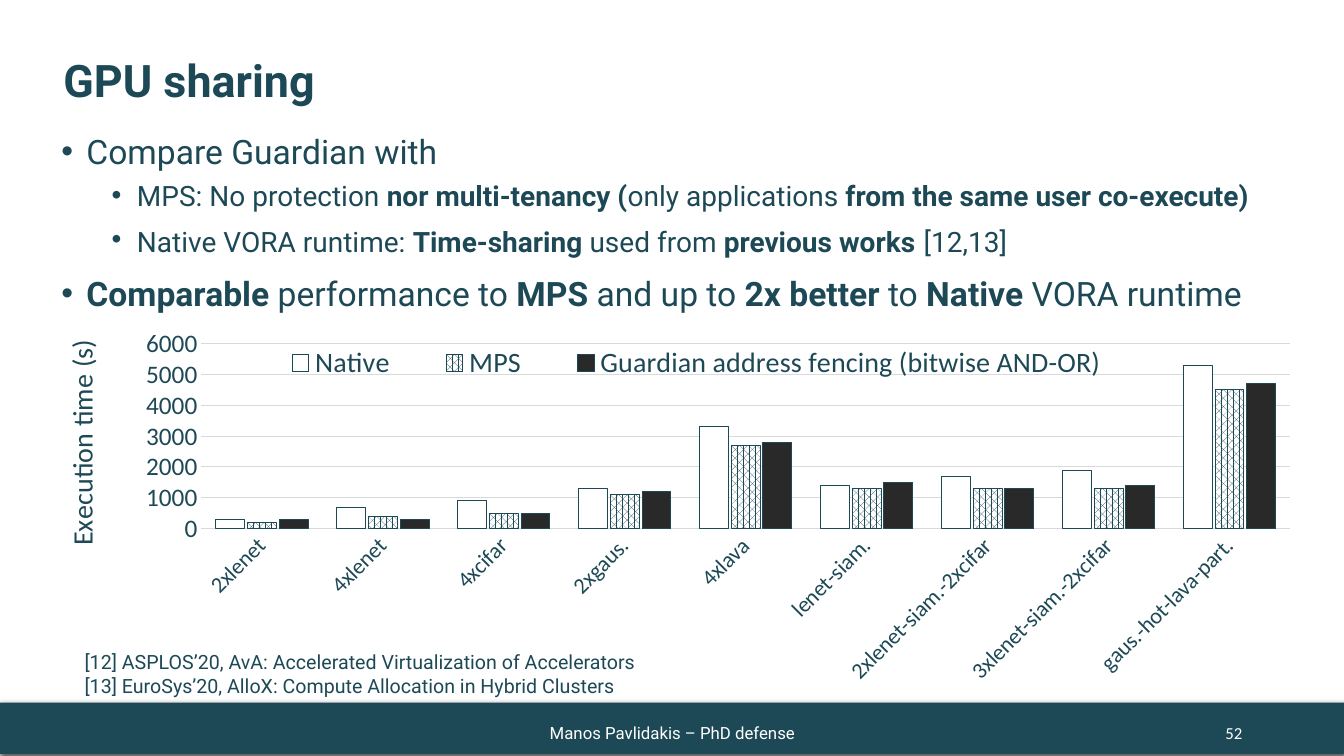
from pptx import Presentation
from pptx.chart.data import CategoryChartData
from pptx.dml.color import RGBColor
from pptx.enum.chart import XL_CHART_TYPE, XL_LEGEND_POSITION, XL_TICK_MARK
from pptx.enum.dml import MSO_PATTERN
from pptx.enum.shapes import MSO_SHAPE
from pptx.enum.text import MSO_ANCHOR, PP_ALIGN
from pptx.oxml import parse_xml
from pptx.oxml.ns import nsdecls, qn
from pptx.util import Inches, Pt

TEAL = RGBColor(0x1D, 0x49, 0x56)
WHITE = RGBColor(0xFF, 0xFF, 0xFF)
CHARCOAL = RGBColor(0x29, 0x29, 0x29)
GRID_GREY = RGBColor(0xD9, 0xD9, 0xD9)
COLUMNS = XL_CHART_TYPE.COLUMN_CLUSTERED
LEGEND_BOTTOM = XL_LEGEND_POSITION.BOTTOM
NO_TICK = XL_TICK_MARK.NONE
DOTTED = MSO_PATTERN.PERCENT_60
RECTANGLE = MSO_SHAPE.RECTANGLE
TOP, MIDDLE = MSO_ANCHOR.TOP, MSO_ANCHOR.MIDDLE
LEFT, CENTER, RIGHT = PP_ALIGN.LEFT, PP_ALIGN.CENTER, PP_ALIGN.RIGHT

BULLETS = [
    (0, [("Compare Guardian with", False)]),
    (1, [("MPS: No protection ", False), ("nor multi-tenancy (", True),
         ("only applications ", False), ("from the same user co-execute)", True)]),
    (1, [("Native VORA runtime: ", False), ("Time-sharing ", True), ("used from ", False),
         ("previous works", True), (" ", True, 24), ("[12,13]", False)]),
    (0, [("Comparable", True), (" performance to ", False), ("MPS ", True),
         ("and up to ", False), ("2x better ", True), ("to ", False),
         ("Native ", True), ("VORA runtime", False)]),
]
LEVELS = [(24, 0.25, 10), (20, 0.75, 5)]
REFERENCES = [
    "[12] ASPLOS’20, AvA: Accelerated Virtualization of Accelerators",
    "[13] EuroSys’20, AlloX: Compute Allocation in Hybrid Clusters",
]
WORKLOADS = ["2xlenet", "4xlenet", "4xcifar", "2xgaus.", "4xlava", "lenet-siam.",
             "2xlenet-siam.-2xcifar", "3xlenet-siam.-2xcifar", "gaus.-hot-lava-part."]
TIMES = {
    "Native": [300, 700, 900, 1300, 3300, 1400, 1700, 1900, 5300],
    "MPS": [200, 400, 500, 1100, 2700, 1300, 1300, 1300, 4500],
    "Guardian address fencing (bitwise AND-OR)":
        [300, 300, 500, 1200, 2800, 1500, 1300, 1400, 4700],
}


def style_font(font, size, color=TEAL, name="Roboto", bold=False):
    """Set size, colour, typeface and weight of a font."""
    font.size, font.name, font.bold = Pt(size), name, bold
    font.color.rgb = color


def add_span(para, text, size, **style):
    """Append one styled run to a paragraph."""
    span = para.add_run()
    span.text = text
    style_font(span.font, size, **style)


def add_frame(page, box, anchor=TOP):
    """Add a wrapping text box and return its text frame."""
    frame = page.shapes.add_textbox(*map(Inches, box)).text_frame
    frame.word_wrap = True
    frame.vertical_anchor = anchor
    return frame


def add_lines(page, box, lines, size, align=LEFT, anchor=TOP, **style):
    """Add a text box with one paragraph for each line."""
    frame = add_frame(page, box, anchor)
    for index, line in enumerate(lines):
        para = frame.add_paragraph() if index else frame.paragraphs[0]
        para.alignment = align
        add_span(para, line, size, **style)
    return frame


def add_bullets(page, box):
    """Add the two-level list of findings."""
    frame = add_frame(page, box)
    for index, (level, spans) in enumerate(BULLETS):
        size, margin, space = LEVELS[level]
        para = frame.add_paragraph() if index else frame.paragraphs[0]
        para.level = level
        para.space_before = Pt(space)
        properties = para._p.get_or_add_pPr()
        properties.set("marL", str(Inches(margin)))
        properties.set("indent", str(Inches(-0.25)))
        properties.append(parse_xml(f'<a:buFont {nsdecls("a")} typeface="Arial"/>'))
        properties.append(parse_xml(f'<a:buChar {nsdecls("a")} char="•"/>'))
        for text, bold, *special in spans:
            add_span(para, text, special[0] if special else size, bold=bold)


def set_layout(element, index, target="", **fractions):
    """Give a chart part a manual layout in fractions of the chart."""
    for former in element.findall(qn("c:layout")):
        element.remove(former)
    modes = "".join(f'<c:{side}Mode val="edge"/>' for side in "xy")
    sizes = "".join(f'<c:{side} val="{value}"/>' for side, value in fractions.items())
    element.insert(index, parse_xml(
        f'<c:layout {nsdecls("c")}><c:manualLayout>{target}{modes}{sizes}'
        '</c:manualLayout></c:layout>'))


def style_axis(axis, size):
    """Hide the axis line and ticks and set the label font."""
    axis.major_tick_mark = axis.minor_tick_mark = NO_TICK
    axis.format.line.fill.background()
    style_font(axis.tick_labels.font, size, name="Calibri")


def style_series(chart):
    """Fill the three series white, patterned and dark."""
    plot = chart.plots[0]
    plot.vary_by_categories = False
    plot.gap_width, plot.overlap = 98, -10
    for series, color in zip(plot.series, (WHITE, None, CHARCOAL)):
        series.invert_if_negative = False
        fill = series.format.fill
        if color is None:
            fill.patterned()
            fill.pattern = DOTTED
            fill.fore_color.rgb, fill.back_color.rgb = TEAL, WHITE
        else:
            fill.solid()
            fill.fore_color.rgb = color
        series.format.line.color.rgb = TEAL
        series.format.line.width = Pt(0.75)


def add_time_chart(page, box):
    """Add the column chart of execution times."""
    data = CategoryChartData()
    data.categories = WORKLOADS
    for name, values in TIMES.items():
        data.add_series(name, values)
    chart = page.shapes.add_chart(COLUMNS, *map(Inches, box), data).chart
    style_font(chart.font, 10, name="Calibri")
    chart.has_title = False
    style_series(chart)

    style_axis(chart.category_axis, 16)
    labels = chart.category_axis._element.find(qn("c:txPr")).find(qn("a:bodyPr"))
    labels.set("rot", "-2700000")
    labels.set("vert", "horz")

    times = chart.value_axis
    style_axis(times, 18)
    times.minimum_scale, times.maximum_scale, times.major_unit = 0, 6000, 1000
    times.major_gridlines.format.line.color.rgb = GRID_GREY
    times.major_gridlines.format.line.width = Pt(0.75)
    title = times.axis_title
    add_span(title.text_frame.paragraphs[0], "Execution time (s)", 20, name="Calibri")
    title.text_frame._txBody.find(qn("a:bodyPr")).set("rot", "-5400000")
    set_layout(title._element, 1, x=0.044, y=0.11)

    chart.has_legend = True
    chart.legend.position = LEGEND_BOTTOM
    chart.legend.include_in_layout = False
    style_font(chart.legend.font, 20, name="Calibri")
    set_layout(chart.legend._element, 1, x=0.19, y=0.125, w=0.7, h=0.07)

    space = chart._chartSpace
    set_layout(space.chart.plotArea, 0, '<c:layoutTarget val="inner"/>',
               x=0.156, y=0.126, w=0.844, h=0.327)
    space.chart.addnext(parse_xml(
        f'<c:spPr {nsdecls("c", "a")}><a:noFill/><a:ln><a:noFill/></a:ln></c:spPr>'))


def add_footer_bar(page, box):
    """Add the dark bar with its soft shadow."""
    bar = page.shapes.add_shape(RECTANGLE, *map(Inches, box))
    bar.fill.solid()
    bar.fill.fore_color.rgb = TEAL
    bar.line.fill.background()
    bar.shadow.inherit = False
    bar._element.spPr.find(qn("a:effectLst")).append(parse_xml(
        f'<a:outerShdw {nsdecls("a")} blurRad="{Pt(4.5)}" dist="{Pt(1.5)}" dir="5400000">'
        '<a:srgbClr val="000000"><a:alpha val="63000"/></a:srgbClr></a:outerShdw>'))


def main():
    """Build the slide and save the deck."""
    deck = Presentation()
    deck.slide_width, deck.slide_height = Inches(13.33), Inches(7.5)
    page = deck.slides.add_slide(deck.slide_layouts[6])
    add_footer_bar(page, (0, 6.97, 13.33, 0.51))
    title = add_lines(page, (0.53, 0.4, 12.48, 0.85), ["GPU sharing"], 32,
                      anchor=MIDDLE, bold=True)
    title.paragraphs[0].line_spacing = 0.9
    add_time_chart(page, (0, 2.7, 12.8, 5.62))
    add_bullets(page, (0.51, 1.25, 12.47, 2))
    add_lines(page, (9.42, 7.07, 3, 0.4), ["52"], 12, RIGHT, MIDDLE,
              color=WHITE, name="Calibri")
    add_lines(page, (4.42, 7.07, 4.5, 0.4), ["Manos Pavlidakis – PhD defense"], 12,
              CENTER, MIDDLE, color=WHITE)
    add_lines(page, (0.74, 6.4, 6.75, 0.57), REFERENCES, 14)
    deck.save("out.pptx")


if __name__ == "__main__":
    main()
